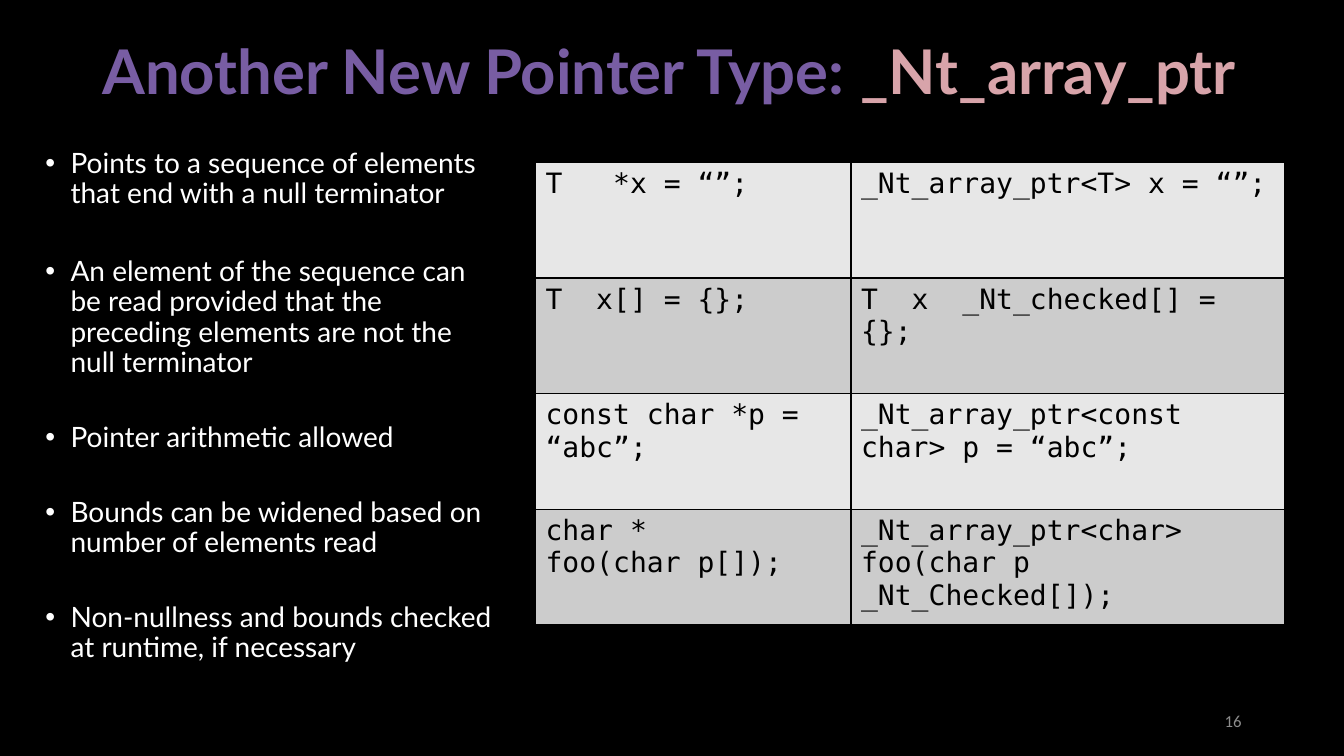
"""Build a slide on the _Nt_array_ptr pointer type with a code comparison table."""
from lxml import etree
from pptx import Presentation
from pptx.dml.color import RGBColor
from pptx.enum.text import MSO_ANCHOR, MSO_AUTO_SIZE, PP_ALIGN
from pptx.oxml.ns import qn
from pptx.util import Pt

MIDDLE, TOP = MSO_ANCHOR.MIDDLE, MSO_ANCHOR.TOP
LEFT, RIGHT = PP_ALIGN.LEFT, PP_ALIGN.RIGHT
NO_FIT = MSO_AUTO_SIZE.NONE

BLACK = RGBColor(0x00, 0x00, 0x00)
WHITE = RGBColor(0xFF, 0xFF, 0xFF)
PURPLE = RGBColor(0x78, 0x5D, 0xA3)
PINK = RGBColor(0xD8, 0xA4, 0xAA)
GRAY = RGBColor(0x8C, 0x8C, 0x8C)
ROW_FILLS = [RGBColor(0xE7, 0xE7, 0xE7), RGBColor(0xCC, 0xCC, 0xCC)]

BULLETS = [
    "Points to a sequence of elements that end with a null terminator",
    "An element of the sequence can be read provided that the preceding elements are not the null terminator",
    "Pointer arithmetic allowed",
    "Bounds can be widened based on number of elements read",
    "Non-nullness and bounds checked at runtime, if necessary",
]
BULLET_GAPS = [0, 34, 32, 32, 32]
CODE_ROWS = [
    ["T   *x = “”;", "_Nt_array_ptr<T> x = “”;"],
    ["T  x[] = {};", "T  x  _Nt_checked[] = {};"],
    ["const char *p = “abc”;", "_Nt_array_ptr<const char> p = “abc”;"],
    ["char *\nfoo(char p[]);", "_Nt_array_ptr<char>\nfoo(char p _Nt_Checked[]);"],
]
COLUMN_WIDTHS = [225.4, 309.6]
ROW_HEIGHT = 82.6


def write(paragraph, text, font="Lato", size=20, color=WHITE, bold=False, align=LEFT):
    paragraph.alignment = align
    for index, line in enumerate(text.split("\n")):
        if index:
            paragraph.add_line_break()
        run = paragraph.add_run()
        run.text = line
        run.font.name = font
        run.font.size = Pt(size)
        run.font.bold = bold
        run.font.color.rgb = color


presentation = Presentation()
presentation.slide_width = Pt(960)
presentation.slide_height = Pt(540)
slide = presentation.slides.add_slide(presentation.slide_layouts[1])
slide.background.fill.solid()
slide.background.fill.fore_color.rgb = BLACK

title, body = slide.placeholders
number_box = slide.shapes.add_textbox(0, 0, 0, 0)
for shape, bounds, anchor in [
    (title, (66, 0.7, 828, 104.4), MIDDLE),
    (body, (25.2, 103, 340, 388), TOP),
    (number_box, (678, 500.5, 216, 28.8), MIDDLE),
]:
    shape.left, shape.top, shape.width, shape.height = map(Pt, bounds)
    shape.text_frame.auto_size = NO_FIT
    shape.text_frame.word_wrap = True
    shape.text_frame.vertical_anchor = anchor

title_paragraph = title.text_frame.paragraphs[0]
title_paragraph.line_spacing = 0.9
write(title_paragraph, "Another New Pointer Type: ", size=44, color=PURPLE, bold=True)
write(title_paragraph, "_Nt_array_ptr", size=44, color=PINK, bold=True)

for index, (bullet, gap) in enumerate(zip(BULLETS, BULLET_GAPS)):
    paragraph = body.text_frame.add_paragraph() if index else body.text_frame.paragraphs[0]
    properties = paragraph._p.get_or_add_pPr()
    properties.set("marL", str(Pt(18)))
    properties.set("indent", str(Pt(-18)))
    etree.SubElement(properties, qn("a:buFont")).set("typeface", "Arial")
    etree.SubElement(properties, qn("a:buChar")).set("char", "•")
    paragraph.line_spacing = 0.9
    paragraph.space_before = Pt(gap)
    write(paragraph, bullet)

write(number_box.text_frame.paragraphs[0], "16", font="Calibri", size=12, color=GRAY, align=RIGHT)

table = slide.shapes.add_table(
    len(CODE_ROWS), len(COLUMN_WIDTHS), Pt(382.5), Pt(116),
    Pt(sum(COLUMN_WIDTHS)), Pt(ROW_HEIGHT * len(CODE_ROWS)),
).table
table.first_row = False
table.horz_banding = False
for column, width in zip(table.columns, COLUMN_WIDTHS):
    column.width = Pt(width)
for row_index, codes in enumerate(CODE_ROWS):
    table.rows[row_index].height = Pt(ROW_HEIGHT)
    for column_index, code in enumerate(codes):
        cell = table.cell(row_index, column_index)
        cell_properties = cell._tc.get_or_add_tcPr()
        for side in ("lnL", "lnR", "lnT", "lnB"):
            border = etree.SubElement(cell_properties, qn(f"a:{side}"), w=str(Pt(1)))
            border_fill = etree.SubElement(border, qn("a:solidFill"))
            etree.SubElement(border_fill, qn("a:srgbClr"), val=str(BLACK))
        cell.fill.solid()
        cell.fill.fore_color.rgb = ROW_FILLS[row_index % 2]
        write(cell.text_frame.paragraphs[0], code, font="DejaVu Sans Mono", color=BLACK)

presentation.save("out.pptx")
